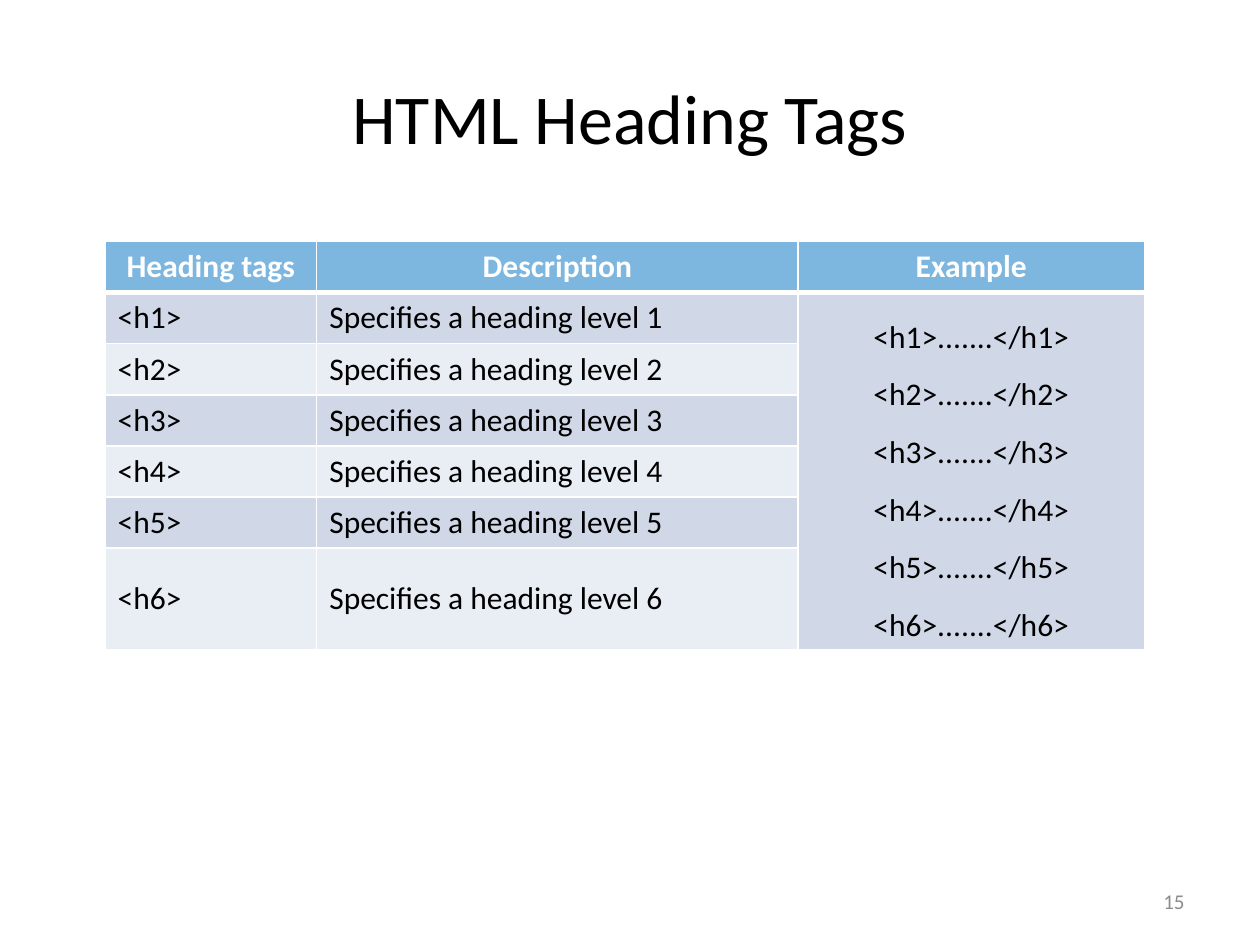
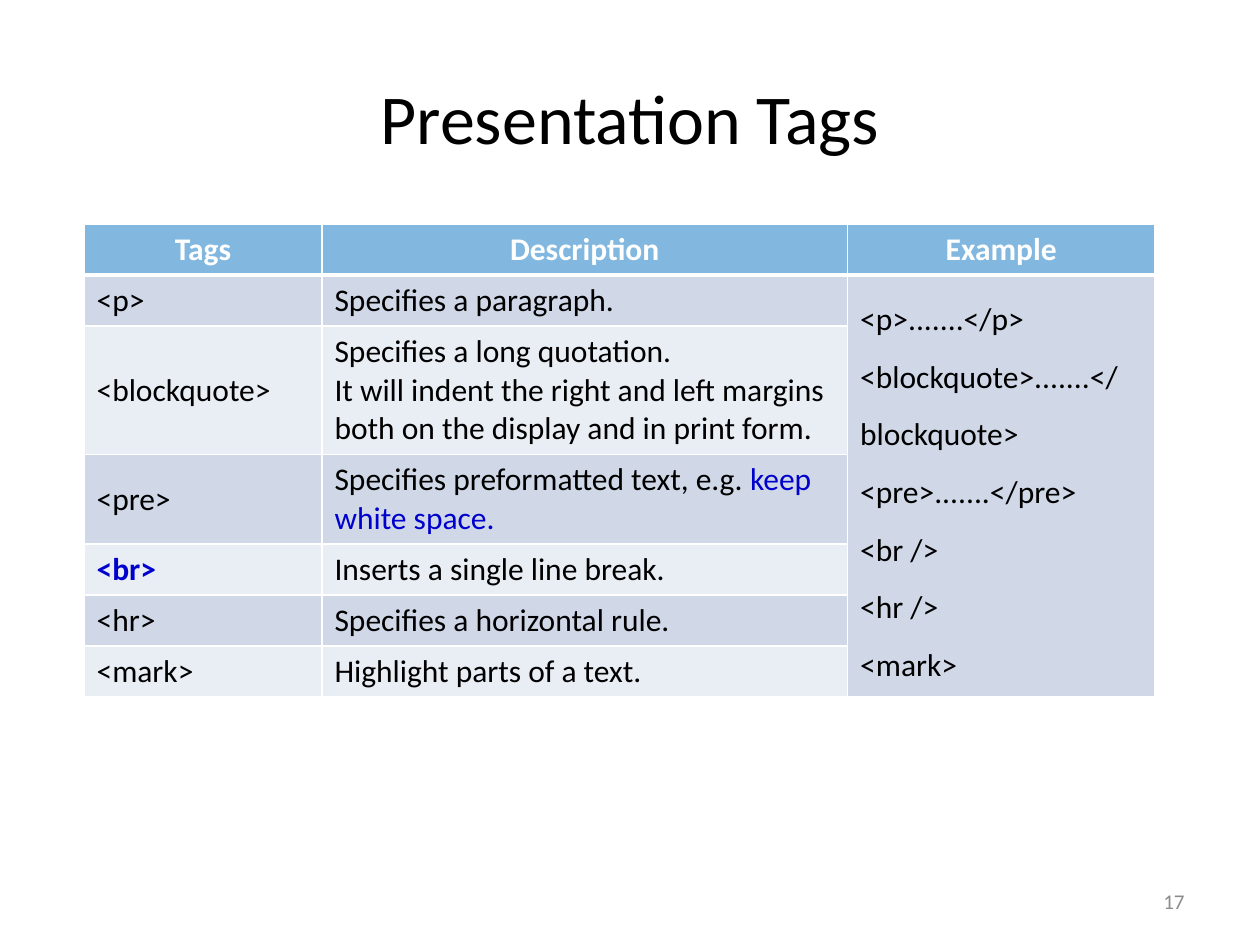
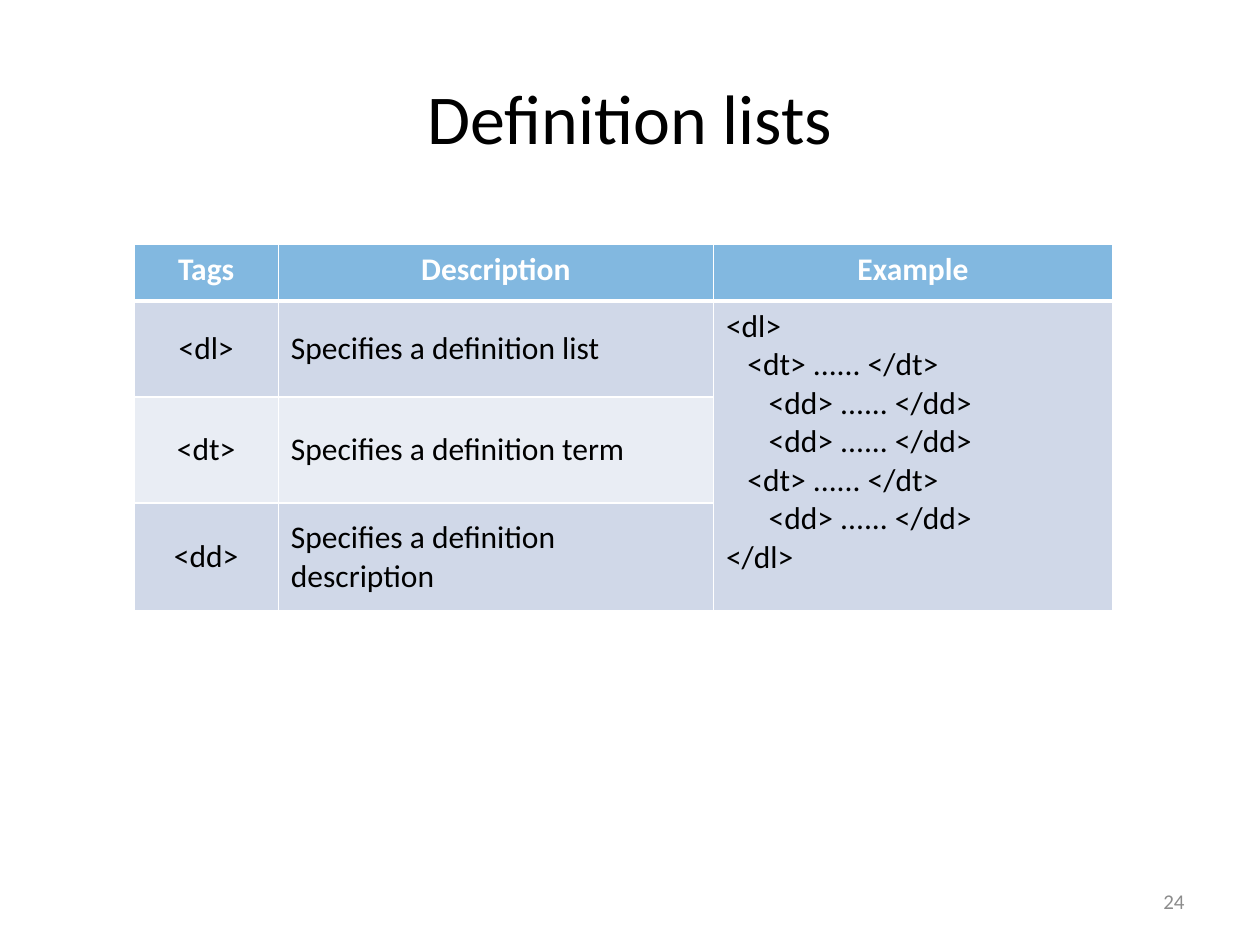
from lxml import etree
from pptx import Presentation
from pptx import util as u
from pptx.dml import color as dml
from pptx.enum import text
from pptx.oxml import ns

COLORS = {
    "white": "FFFFFF",
    "black": "000000",
    "header": "0070C0",
    "odd": "D0D8E8",
    "even": "E9EDF4",
    "highlight": "0000CC",
    "number": "8C8C8C",
}
FONT = "Calibri"
LEFT, CENTER, RIGHT = text.PP_ALIGN.LEFT, text.PP_ALIGN.CENTER, text.PP_ALIGN.RIGHT
TOP, MIDDLE = text.MSO_ANCHOR.TOP, text.MSO_ANCHOR.MIDDLE

TITLE = {"size": 40, "color": "black"}
NUMBER = {"size": 12, "color": "number"}
HEADING = {"size": 18, "color": "white", "bold": True}
BODY = {"size": 18, "color": "black", "bold": False}
MARKED = {**BODY, "color": "highlight"}
MARKED_BOLD = {**MARKED, "bold": True}

TITLE_BOX = (36, 21.6, 648, 90)
NUMBER_BOX = (516, 500.5, 168, 28.8)
ROW = 29.2

SLIDES = [
    {
        "title": "HTML Heading Tags",
        "number": 15,
        "origin": (60, 138),
        "columns": [121, 275, 198],
        "heights": [ROW] * 6 + [2 * ROW],
        "header_opacity": 51,
        "headings": ["Heading tags", "Description", "Example"],
        "rows": [
            (f"<h{level}>", f"Specifies a heading level {level}")
            for level in range(1, 7)
        ],
        "example": [f"<h{level}>.......</h{level}>" for level in range(1, 7)],
        "example_format": {"alignment": CENTER, "line_spacing": 1.5},
        "tag_alignment": LEFT,
    },
    {
        "title": "Presentation Tags",
        "number": 17,
        "origin": (48, 128),
        "columns": [136, 300.4, 175.6],
        "heights": [ROW, ROW, 73.4, 51, ROW, ROW, ROW],
        "header_opacity": 49,
        "headings": ["Tags", "Description", "Example"],
        "rows": [
            ("<p>", "Specifies a paragraph."),
            ("<blockquote>", [
                "Specifies a long quotation.",
                "It will indent the right and left margins both on the display "
                "and in print form.",
            ]),
            ("<pre>", [[
                ("Specifies preformatted text, e.g. ", BODY),
                ("keep white space.", MARKED),
            ]]),
            ([[("<br>", MARKED_BOLD)]], "Inserts a single line break."),
            ("<hr>", "Specifies a horizontal rule."),
            ("<mark>", "Highlight parts of a text."),
        ],
        "example": [
            "<p>.......</p>",
            "<blockquote>.......</blockquote>",
            "<pre>.......</pre>",
            "<br />",
            "<hr />",
            "<mark>",
        ],
        "example_format": {"alignment": LEFT, "line_spacing": 1.5},
        "tag_alignment": LEFT,
    },
    {
        "title": "Definition lists",
        "number": 24,
        "origin": (76.5, 139.7),
        "columns": [82.6, 248.6, 228],
        "heights": [32.4, 54.8, 60.6, 61.8],
        "header_opacity": 49,
        "headings": ["Tags", "Description", "Example"],
        "rows": [
            ("<dl>", "Specifies a definition list"),
            ("<dt>", "Specifies a definition term"),
            ("<dd>", "Specifies a definition description"),
        ],
        "example": [
            "<dl>",
            "   <dt> ...... </dt>",
            "      <dd> ...... </dd>",
            "      <dd> ...... </dd>",
            "   <dt> ...... </dt>",
            "      <dd> ...... </dd>",
            "</dl>",
        ],
        "example_format": {"alignment": LEFT},
        "tag_alignment": CENTER,
    },
]


def rgb(name):
    return dml.RGBColor.from_string(COLORS[name])


def set_values(target, values):
    for name, value in values.items():
        setattr(target, name, value)


def write(frame, content, style, paragraph_format):
    paragraphs = [content] if isinstance(content, str) else content
    for index, runs in enumerate(paragraphs):
        paragraph = frame.add_paragraph() if index else frame.paragraphs[0]
        set_values(paragraph, paragraph_format)
        if isinstance(runs, str):
            runs = [(runs, style)]
        for words, run_style in runs:
            run = paragraph.add_run()
            run.text = words
            values = {**run_style, "name": FONT, "size": u.Pt(run_style["size"])}
            run.font.color.rgb = rgb(values.pop("color"))
            set_values(run.font, values)


def add_text(slide, box, content, style, alignment):
    frame = slide.shapes.add_textbox(*map(u.Pt, box)).text_frame
    set_values(frame, {"word_wrap": True, "vertical_anchor": MIDDLE})
    write(frame, content, style, {"alignment": alignment})


def set_borders(cell, widths):
    properties = cell._tc.get_or_add_tcPr()
    for side, width in widths.items():
        line = etree.SubElement(properties, ns.qn(f"a:ln{side}"), w=str(u.Pt(width)))
        fill = etree.SubElement(line, ns.qn("a:solidFill"))
        etree.SubElement(fill, ns.qn("a:srgbClr"), val=COLORS["white"])


def paint(cell, color, opacity=100):
    cell.fill.solid()
    cell.fill.fore_color.rgb = rgb(color)
    if opacity < 100:
        value = cell._tc.tcPr.find(f"{ns.qn('a:solidFill')}/{ns.qn('a:srgbClr')}")
        etree.SubElement(value, ns.qn("a:alpha"), val=str(opacity * 1000))


def add_tag_table(slide, data):
    columns, heights = data["columns"], data["heights"]
    box = (*data["origin"], sum(columns), sum(heights))
    table = slide.shapes.add_table(
        len(heights), len(columns), *map(u.Pt, box)
    ).table
    for column, width in zip(table.columns, columns):
        column.width = u.Pt(width)
    for row, height in zip(table.rows, heights):
        row.height = u.Pt(height)

    for row in range(len(heights)):
        for column in range(len(columns)):
            cell = table.cell(row, column)
            widths = {"L": 1, "R": 1, "T": 3 if row == 1 else 1, "B": 1 if row else 3}
            set_borders(cell, widths)
            if row == 0:
                paint(cell, "header", data["header_opacity"])
            else:
                paint(cell, "odd" if row % 2 or column == 2 else "even")

    for column, heading in enumerate(data["headings"]):
        write(table.cell(0, column).text_frame, heading, HEADING, {"alignment": CENTER})
    alignments = (data["tag_alignment"], LEFT)
    for row, contents in enumerate(data["rows"], 1):
        for column, (content, alignment) in enumerate(zip(contents, alignments)):
            cell = table.cell(row, column)
            cell.vertical_anchor = MIDDLE
            write(cell.text_frame, content, BODY, {"alignment": alignment})

    example = table.cell(1, 2)
    example.merge(table.cell(len(heights) - 1, 2))
    example.vertical_anchor = TOP
    write(example.text_frame, data["example"], BODY, data["example_format"])


def main():
    presentation = Presentation()
    set_values(presentation, {"slide_width": u.Pt(720), "slide_height": u.Pt(540)})
    for data in SLIDES:
        slide = presentation.slides.add_slide(presentation.slide_layouts[6])
        add_text(slide, TITLE_BOX, data["title"], TITLE, CENTER)
        add_tag_table(slide, data)
        add_text(slide, NUMBER_BOX, str(data["number"]), NUMBER, RIGHT)
    presentation.save("out.pptx")


if __name__ == "__main__":
    main()
